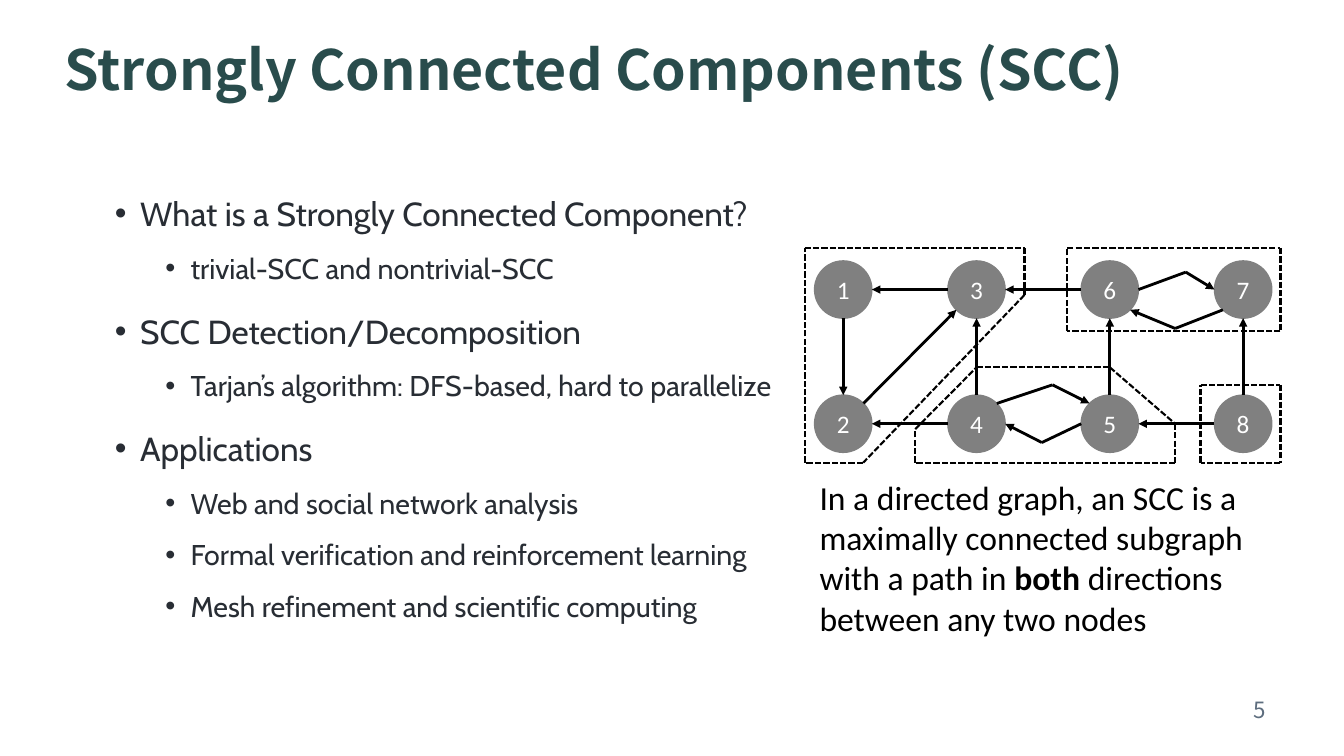
from itertools import pairwise
from math import atan2, cos, pi, sin

from lxml.etree import SubElement
from pptx import Presentation
from pptx.dml.color import RGBColor
from pptx.enum.dml import MSO_LINE as Dash
from pptx.enum.shapes import MSO_CONNECTOR as Conn, MSO_SHAPE as Shape
from pptx.enum.text import MSO_ANCHOR as Anchor, MSO_AUTO_SIZE as Auto, PP_ALIGN as Align
from pptx.oxml.ns import qn
from pptx.util import Inches, Pt

SANS, BODY, PLAIN = "Noto Sans CJK SC", "Cabin", "Calibri"
POINTS = [
    (0, "What is a Strongly Connected Component?"),
    (1, "trivial-SCC and nontrivial-SCC"),
    (0, "SCC Detection/Decomposition"),
    (1, "Tarjan’s algorithm: DFS-based, hard to parallelize"),
    (0, "Applications"),
    (1, "Web and social network analysis"),
    (1, "Formal verification and reinforcement learning"),
    (1, "Mesh refinement and scientific computing"),
]
LEVELS = [{"size": 23.8, "left": 0.25, "before": 10},
          {"size": 20.4, "left": 0.75, "before": 5}]

# Graph places are (column, row), counted from the centre of node 1.
NODES = {1: (0, 0), 3: (1, 0), 2: (0, 1), 4: (1, 1),
         6: (2, 0), 5: (2, 1), 7: (3, 0), 8: (3, 1)}
EDGES = [(3, 1), (1, 2), (2, 3), (4, 2), (4, 3), (6, 3), (8, 5), (8, 7), (5, 6)]
# Start, end, bend, and slant of the ports: -1 up, 0 level, 1 down.
BENDS = [(4, 5, (1.57, 0.71), -1), (5, 4, (1.49, 1.14), 0),
         (6, 7, (2.57, -0.13), 0), (7, 6, (2.49, 0.29), 1)]
ZONES = [
    [(-0.29, -0.31), (1.36, -0.31), (1.36, 0.04), (0.15, 1.29), (-0.29, 1.29)],
    [(0.54, 1.29), (0.54, 1.04), (1, 0.58), (2, 0.58), (2.49, 1), (2.49, 1.29)],
    [(1.68, -0.31), (3.28, -0.31), (3.28, 0.31), (1.68, 0.31)],
    [(2.68, 0.71), (3.28, 0.71), (3.28, 1.29), (2.68, 1.29)],
]


def tint(fmt, color):
    """Give a fill a solid colour, or a font its colour."""
    if hasattr(fmt, "solid"):
        fmt.solid()
        fmt.fore_color.rgb = RGBColor.from_string(color)
    else:
        fmt.color.rgb = RGBColor.from_string(color)


def write(para, text, color, **font):
    run = para.add_run()
    run.text = text
    for key, value in font.items():
        setattr(run.font, key, value)
    tint(run.font, color)


def place(shape, box):
    for key, value in zip(("left", "top", "width", "height"), box):
        setattr(shape, key, Inches(value))


def title(slide, box):
    head = slide.shapes.title
    place(head, box)
    frame = head.text_frame
    frame.vertical_anchor, frame.auto_size = Anchor.MIDDLE, Auto.NONE
    para = frame.paragraphs[0]
    para.alignment, para.line_spacing = Align.LEFT, 0.9
    write(para, "Strongly Connected Components (SCC)", "294C4C",
          name=SANS, size=Pt(39.6), bold=True)


def outline(slide, box):
    """Fill the body with the bullet list."""
    body = slide.placeholders[1]
    place(body, box)
    frame = body.text_frame
    frame.auto_size = Auto.NONE
    for i, (level, text) in enumerate(POINTS):
        para = frame.add_paragraph() if i else frame.paragraphs[0]
        look = LEVELS[level]
        para.level, para.line_spacing = level, 1.3
        para.space_before = Pt(look["before"])
        props = para._p.get_or_add_pPr()
        props.set("marL", str(Inches(look["left"])))
        props.set("indent", str(Inches(-0.25)))
        SubElement(props, qn("a:buFont"), typeface="Arial")
        SubElement(props, qn("a:buChar"), char="•")
        write(para, text, "282D34", name=BODY, size=Pt(look["size"]))


def label(slide, box):
    """Add a wrapping text box and return its frame."""
    frame = slide.shapes.add_textbox(*map(Inches, box)).text_frame
    frame.word_wrap = True
    return frame


def number(slide, box):
    frame = label(slide, box)
    frame.vertical_anchor = Anchor.MIDDLE
    para = frame.paragraphs[0]
    para.alignment = Align.RIGHT
    write(para, "5", "5D6D7E", name=SANS, size=Pt(16))


def caption(slide, box):
    frame = label(slide, box)
    frame.auto_size = Auto.SHAPE_TO_FIT_TEXT
    for text, bold in (
            ("In a directed graph, an SCC is a maximally connected subgraph with a path in ", False),
            ("both ", True), ("directions between any two nodes", False)):
        write(frame.paragraphs[0], text, "000000", name=PLAIN, size=Pt(24), bold=bold)


def stroke(group, start, end, width=2, head=False, dash=None):
    link = group.shapes.add_connector(Conn.STRAIGHT, *map(Inches, (*start, *end)))
    SubElement(link._element.spPr, qn("a:effectLst"))
    tint(link.line.fill, "000000")
    link.line.width = Pt(width)
    if dash:
        link.line.dash_style = dash
    if head:
        SubElement(link.line._get_or_add_ln(), qn("a:tailEnd"), type="triangle")


def node(group, name, mid, rad):
    x, y = mid
    disc = group.shapes.add_shape(
        Shape.OVAL, *map(Inches, (x - rad, y - rad, 2 * rad, 2 * rad)))
    disc.shadow.inherit = False
    tint(disc.fill, "808080")
    tint(disc.line.fill, "808080")
    disc.line.width = Pt(1)
    frame = disc.text_frame
    frame.word_wrap, frame.vertical_anchor = False, Anchor.MIDDLE
    para = frame.paragraphs[0]
    para.alignment = Align.CENTER
    write(para, str(name), "FFFFFF", name=PLAIN, size=Pt(18))


def graph(slide, box):
    left, top, wide, high = box
    col, row = wide / 3.57, high / 1.6
    rad = 0.215 * col
    group = slide.shapes.add_group_shape()

    def spot(place):
        return left + (place[0] + 0.29) * col, top + (place[1] + 0.31) * row

    mids = {name: spot(at) for name, at in NODES.items()}

    def rim(name, turn):
        x, y = mids[name]
        return x + rad * cos(turn), y + rad * sin(turn)

    for name, mid in mids.items():
        node(group, name, mid, rad)
    for a, b in EDGES:
        (ax, ay), (bx, by) = mids[a], mids[b]
        turn = atan2(by - ay, bx - ax)
        stroke(group, rim(a, turn), rim(b, turn + pi), head=True)
    for a, b, bend, slant in BENDS:
        right, back = slant * pi / 4, pi - slant * pi / 4
        ends = (right, back) if mids[a][0] < mids[b][0] else (back, right)
        stroke(group, rim(a, ends[0]), spot(bend))
        stroke(group, spot(bend), rim(b, ends[1]), head=True)
    for zone in ZONES:
        for start, end in pairwise(zone + zone[:1]):
            stroke(group, spot(start), spot(end), 1.5, dash=Dash.SQUARE_DOT)


def main():
    deck = Presentation()
    deck.slide_width, deck.slide_height = Inches(13.33), Inches(7.5)
    slide = deck.slides.add_slide(deck.slide_layouts[1])
    title(slide, (0.54, 0.15, 10.96, 1.14))
    outline(slide, (1.04, 1.75, 11.64, 4.59))
    number(slide, (9.65, 6.84, 3, 0.4))
    graph(slide, (7.98, 2.46, 4.72, 2.13))
    caption(slide, (8.03, 4.68, 4.77, 1.72))
    deck.save("out.pptx")


if __name__ == "__main__":
    main()
